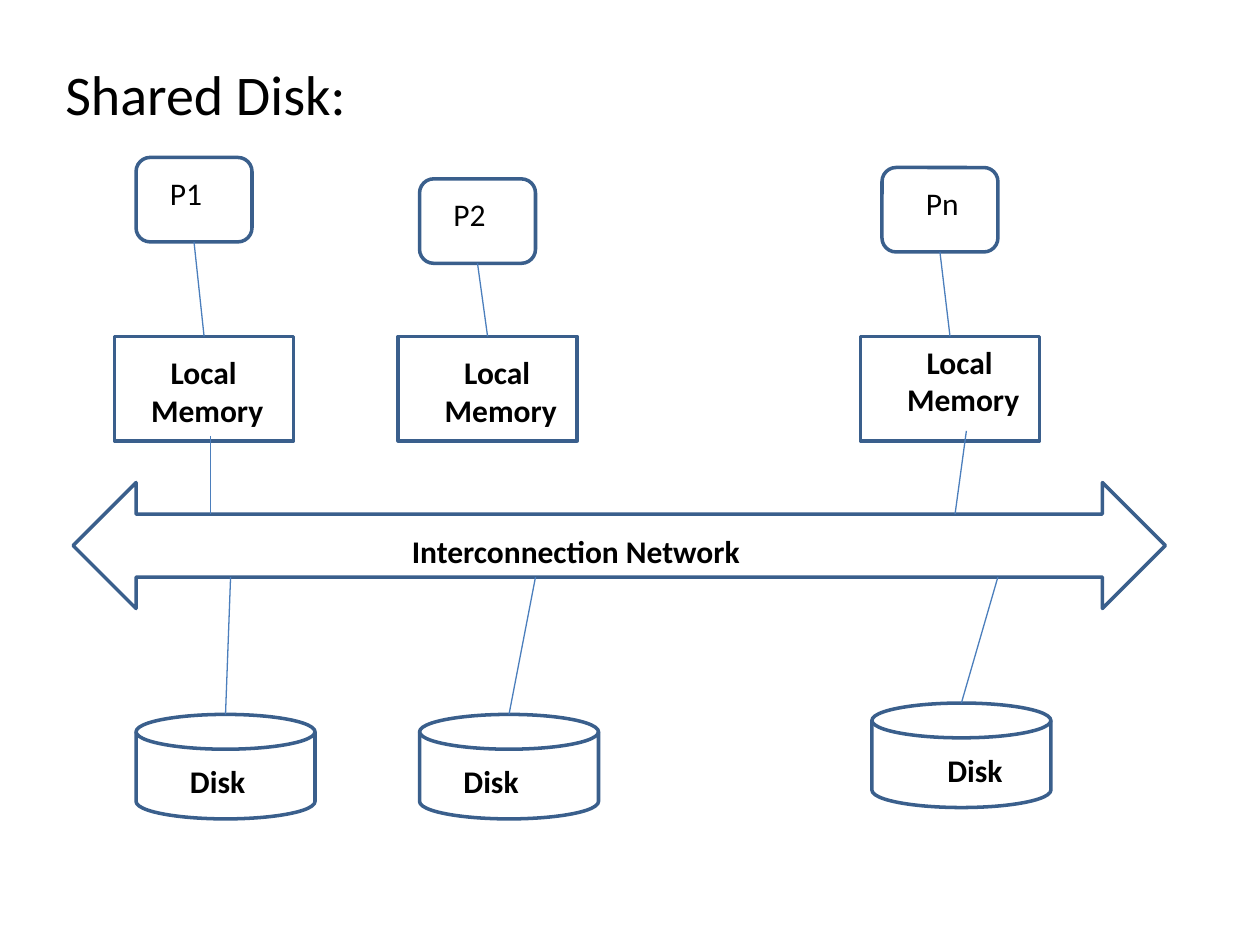
from pptx import Presentation
from pptx.dml.color import RGBColor
from pptx.enum.shapes import MSO_CONNECTOR, MSO_SHAPE
from pptx.enum.text import PP_ALIGN
from pptx.oxml.ns import qn
from pptx.util import Inches, Pt
from lxml import etree

EDGE = RGBColor(0x3A, 0x5F, 0x8C)
LINK = RGBColor(0x4B, 0x7E, 0xBC)
BLACK = RGBColor(0, 0, 0)
ROUND = MSO_SHAPE.ROUNDED_RECTANGLE
RECT = MSO_SHAPE.RECTANGLE
DISK = MSO_SHAPE.FLOWCHART_MAGNETIC_DISK
ARROW = MSO_SHAPE.LEFT_RIGHT_ARROW
STRAIGHT = MSO_CONNECTOR.STRAIGHT
LEFT, CENTER = PP_ALIGN.LEFT, PP_ALIGN.CENTER
TOP, BOTTOM = 0, 2
BUS_TOP, BUS_BASE = 4.08, 4.58


def add_text(slide, box, lines, size=18, bold=True, align=LEFT, wrap=False):
    shape = slide.shapes.add_textbox(*map(Inches, box))
    frame = shape.text_frame
    frame.word_wrap = wrap
    frame.text = lines
    for para in frame.paragraphs:
        para.alignment = align
        para.font.name = "Calibri"
        para.font.size = Pt(size)
        para.font.bold = bold
        para.font.color.rgb = BLACK


def add_part(slide, kind, box):
    shape = slide.shapes.add_shape(kind, *map(Inches, box))
    shape.shadow.inherit = False
    shape.fill.background()
    shape.line.color.rgb = EDGE
    shape.line.width = Pt(2)
    return shape


def add_link(slide, start, end):
    line = slide.shapes.add_connector(STRAIGHT, *map(Inches, start + end))
    line.line.color.rgb = LINK
    line.line.width = Pt(0.75)
    etree.SubElement(line._element.spPr, qn("a:effectLst"))
    return line


def add_node(slide, left, top, name, name_dx, mem_dx, mem_dy):
    """Processor above its local memory; left and top are the processor's."""
    cpu = add_part(slide, ROUND, (left, top, 0.92, 0.67))
    add_text(slide, (left + name_dx, top + 0.08, 0.55, 0.4), name, bold=False)

    mem_x, mem_y = left - 0.17, 2.67
    memory = add_part(slide, RECT, (mem_x, mem_y, 1.42, 0.83))
    add_text(slide, (mem_x + mem_dx, mem_y + mem_dy, 1.13, 0.71),
             "Local \nMemory", align=CENTER)

    link = add_link(slide, (left + 0.46, top + 0.67), (mem_x + 0.71, mem_y))
    link.begin_connect(cpu, BOTTOM)
    link.end_connect(memory, TOP)


def add_bus(slide, left, top):
    """Network arrow that joins the memories to the disks."""
    add_part(slide, ARROW, (left, top, 8.67, 1))
    add_text(slide, (left + 2.59, top + 0.34, 3.25, 0.4),
             "Interconnection Network", wrap=True)


def add_disk(slide, left, top, label_dx, bus_x):
    """Disk with its label and its link up to the network."""
    add_part(slide, DISK, (left, top, 1.42, 0.83))
    add_text(slide, (left + label_dx, top + 0.33, 0.64, 0.4), "Disk")
    add_link(slide, (bus_x, BUS_BASE), (left + 0.71, top))


def main():
    deck = Presentation()
    deck.slide_width, deck.slide_height = Inches(10), Inches(7.5)
    slide = deck.slides.add_slide(deck.slide_layouts[6])

    # Title
    add_text(slide, (0.42, 0.42, 9, 0.65), "Shared Disk:", 32, False, wrap=True)

    # Processors with memory: left, top, name, label offsets
    for node in ((1.08, 1.25, "P1", 0.17, 0.17, 0.08),
                 (3.33, 1.42, "P2", 0.17, 0.25, 0.08),
                 (7, 1.33, "Pn", 0.25, 0.25, 0)):
        add_node(slide, *node)

    # Network and the links from memory
    add_bus(slide, 0.58, 3.83)
    add_link(slide, (1.67, 3.46), (1.67, BUS_TOP))
    add_link(slide, (7.67, 3.42), (7.58, BUS_TOP))

    # Disks: left, top, label offset, link position on the network
    for disk in ((1.08, 5.67, 0.33, 1.83),
                 (3.33, 5.67, 0.25, 4.25),
                 (6.92, 5.58, 0.5, 7.92)):
        add_disk(slide, *disk)

    deck.save("out.pptx")


if __name__ == "__main__":
    main()
